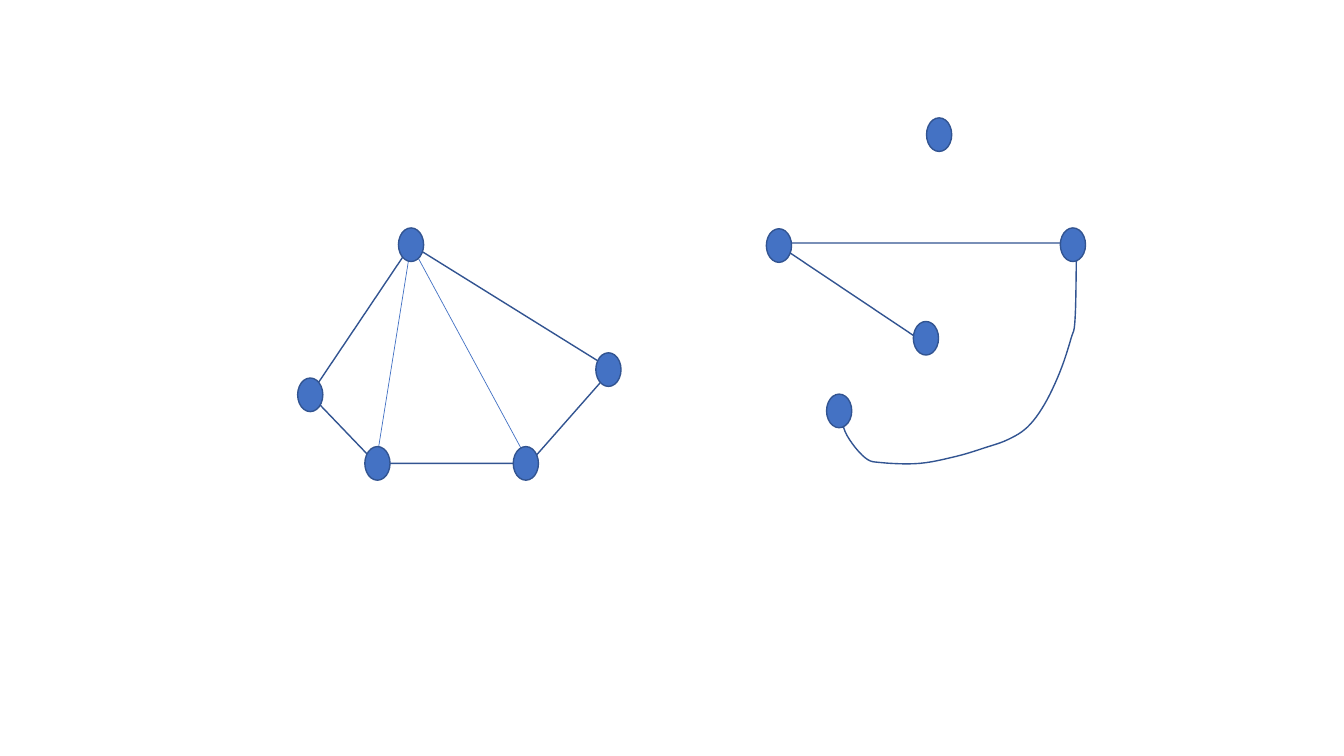
from typing import NamedTuple

import lxml.etree
import pptx
import pptx.dml.color
import pptx.enum.shapes
import pptx.oxml.ns
import pptx.util

Pt = pptx.util.Pt
NODE_FILL, EDGE_COLOR = "4472C4", "325491"
NODE_WIDTH, NODE_HEIGHT = 18, 24
EDGE_WIDTH, DIAGONAL_WIDTH = 1, 0.5
CURVE_STEPS = 6


class Point(NamedTuple):
    x: float
    y: float


class Node(NamedTuple):
    """A vertex; its edges meet at the centre moved by the shift."""
    center: Point
    shift: Point = Point(0, 0)

    @property
    def joint(self) -> Point:
        return Point(self.center.x + self.shift.x, self.center.y + self.shift.y)


def rgb(color: str) -> pptx.dml.color.RGBColor:
    return pptx.dml.color.RGBColor.from_string(color)


def set_line(shape, color: str, width: float) -> None:
    shape.line.color.rgb = rgb(color)
    shape.line.width = Pt(width)


def spline(before: float, start: float, end: float, after: float,
           t: float) -> float:
    """Catmull-Rom value between start and end, for t from 0 to 1."""
    return (start + t * (end - before) / 2
            + t ** 2 * (2 * before - 5 * start + 4 * end - after) / 2
            + t ** 3 * (3 * start - before - 3 * end + after) / 2)


def smooth_curve(waypoints: list[Point]) -> list[Point]:
    """Points of a smooth curve that passes through every waypoint."""
    padded = [waypoints[0], *waypoints, waypoints[-1]]
    curve = [waypoints[0]]
    for span in zip(padded, padded[1:], padded[2:], padded[3:]):
        xs, ys = zip(*span)
        for step in range(1, CURVE_STEPS + 1):
            t = step / CURVE_STEPS
            curve.append(Point(spline(*xs, t), spline(*ys, t)))
    return curve


def draw_outline(slide, corners: list[Point], closed: bool) -> None:
    start, *rest = [(Pt(corner.x), Pt(corner.y)) for corner in corners]
    builder = slide.shapes.build_freeform(*start)
    builder.add_line_segments(rest, close=closed)
    shape = builder.convert_to_shape()
    shape.shadow.inherit = False
    shape.fill.background()
    set_line(shape, EDGE_COLOR, EDGE_WIDTH)


def draw_diagonal(slide, start: Point, end: Point) -> None:
    line = slide.shapes.add_connector(
        pptx.enum.shapes.MSO_CONNECTOR.STRAIGHT,
        Pt(start.x), Pt(start.y), Pt(end.x), Pt(end.y))
    set_line(line, NODE_FILL, DIAGONAL_WIDTH)
    lxml.etree.SubElement(line._element.spPr, pptx.oxml.ns.qn("a:effectLst"))


def draw_node(slide, center: Point) -> None:
    oval = slide.shapes.add_shape(
        pptx.enum.shapes.MSO_SHAPE.OVAL,
        Pt(center.x - NODE_WIDTH / 2), Pt(center.y - NODE_HEIGHT / 2),
        Pt(NODE_WIDTH), Pt(NODE_HEIGHT))
    oval.shadow.inherit = False
    oval.fill.solid()
    oval.fill.fore_color.rgb = rgb(NODE_FILL)
    set_line(oval, EDGE_COLOR, EDGE_WIDTH)


# Left graph: a pentagon, with diagonals from its apex to its base
TOP_ROW, BASE_ROW = 174.8, 331
apex = Node(Point(293.6, TOP_ROW))
left = Node(Point(221.6, 282))
base_left = Node(Point(269.6, BASE_ROW), Point(-1, 0))
base_right = Node(Point(375.6, BASE_ROW), Point(2.4, 0))
right = Node(Point(434.6, 264), Point(2.4, 0))
pentagon = [apex, left, base_left, base_right, right]
base = [base_left, base_right]

# Right graph: a chain of four nodes and one node without edges
inner = Node(Point(661.4, 241.6), Point(-5.4, 0.4))
hub = Node(Point(556.4, 175.4), Point(-2.6, -1.8))
far_right = Node(Point(766.4, TOP_ROW), Point(2.6, -1.2))
curve_end = Node(Point(599.4, 293.5))
isolated = Node(Point(670.8, 96.2))
chain = [inner, hub, far_right, curve_end]

# The last link of the chain swings down and left around the inner node
descent = [Point(768, 227), Point(765, 242), Point(757, 266)]
bend = [Point(746, 289), Point(734, 305), Point(720, 314)]
bottom = [Point(703, 320), Point(683, 326), Point(657, 331), Point(630, 330.5)]
rise = [Point(618, 327), Point(605, 311)]
swing = smooth_curve([far_right.joint, *descent, *bend, *bottom, *rise,
                      curve_end.joint])

deck = pptx.Presentation()
deck.slide_width, deck.slide_height = Pt(960), Pt(540)
page = deck.slides.add_slide(deck.slide_layouts[6])

# Edges lie behind the nodes
draw_outline(page, [node.joint for node in pentagon], closed=True)
for corner in base:
    draw_diagonal(page, apex.joint, corner.joint)
draw_outline(page, [inner.joint, hub.joint, *swing], closed=False)

for node in [*pentagon, *chain, isolated]:
    draw_node(page, node.center)

deck.save("out.pptx")
